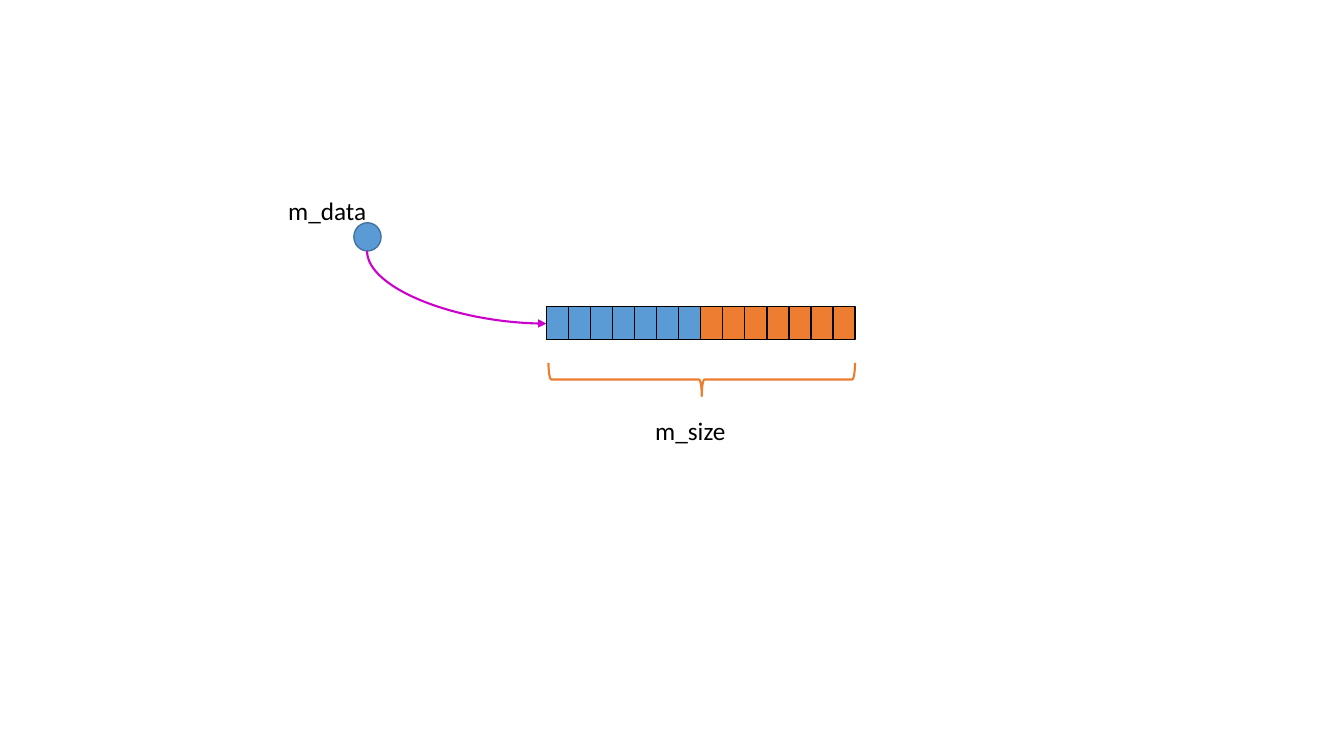
import pptx
import pptx.dml.color
import pptx.enum.shapes
import pptx.enum.text
import pptx.oxml
import pptx.oxml.ns
import pptx.util

Inches = pptx.util.Inches
Shape = pptx.enum.shapes.MSO_SHAPE
BLUE = "5B9BD5"
ORANGE = "ED7D31"
CELL_COUNT = 14
BLUE_COUNT = 7


def color(hex_string):
    return pptx.dml.color.RGBColor.from_string(hex_string)


def draw_shape(slide, kind, box, fill, line, line_width):
    part = slide.shapes.add_shape(kind, *map(Inches, box))
    part.shadow.inherit = False
    if fill:
        part.fill.solid()
        part.fill.fore_color.rgb = color(fill)
    else:
        part.fill.background()
    part.line.color.rgb = color(line)
    part.line.width = pptx.util.Pt(line_width)
    return part


def draw_label(slide, text, left, top):
    label = slide.shapes.add_textbox(*map(Inches, (left, top, 1.02, 0.4)))
    label.text_frame.word_wrap = True
    label.text_frame.auto_size = pptx.enum.text.MSO_AUTO_SIZE.SHAPE_TO_FIT_TEXT
    label.text_frame.text = text
    font = label.text_frame.paragraphs[0].runs[0].font
    font.name = "Calibri"
    font.size = pptx.util.Pt(18)
    font.color.rgb = color("000000")


def draw_pointer(slide, left, top, width, height):
    draw_shape(slide, Shape.OVAL, (left, top, width, height), BLUE, "43739E", 1)
    draw_label(slide, "m_data", left - 0.75, top - 0.32)


def draw_array(slide, left, top, width, height):
    pitch = width / CELL_COUNT
    for index in range(CELL_COUNT):
        fill = BLUE if index < BLUE_COUNT else ORANGE
        cell_box = (left + index * pitch, top, pitch, height)
        draw_shape(slide, Shape.RECTANGLE, cell_box, fill, "000000", 1)


def draw_size_brace(slide, left, top, width, height):
    center_x, center_y = left + width / 2, top + height / 2
    upright_box = (center_x - height / 2, center_y - width / 2, height, width)
    brace = draw_shape(slide, Shape.RIGHT_BRACE, upright_box, None, ORANGE, 1.5)
    brace.rotation = 90
    draw_label(slide, "m_size", center_x - 0.56, top + 0.47)


def draw_data_arrow(slide, left, top, width, height):
    center_x, center_y = left + width / 2, top + height / 2
    arrow = slide.shapes.add_connector(
        pptx.enum.shapes.MSO_CONNECTOR.CURVE,
        Inches(center_x - height / 2), Inches(center_y - width / 2),
        Inches(center_x + height / 2), Inches(center_y + width / 2))
    arrow.line.color.rgb = color("CC00CC")
    arrow.line.width = pptx.util.Pt(1.5)
    qn = pptx.oxml.ns.qn
    properties = arrow._element.spPr
    transform = properties.find(qn("a:xfrm"))
    transform.set("rot", "16200000")
    transform.set("flipH", "1")
    properties.find(qn("a:prstGeom")).set("prst", "curvedConnector2")
    namespace = pptx.oxml.ns.nsdecls("a")
    properties.find(qn("a:ln")).append(
        pptx.oxml.parse_xml(f'<a:tailEnd {namespace} type="triangle"/>'))
    properties.append(pptx.oxml.parse_xml(f"<a:effectLst {namespace}/>"))


def main():
    presentation = pptx.Presentation()
    presentation.slide_width = Inches(13.33)
    presentation.slide_height = Inches(7.5)
    slide = presentation.slides.add_slide(presentation.slide_layouts[6])
    draw_pointer(slide, 3.51, 2.21, 0.27, 0.28)
    draw_size_brace(slide, 5.44, 3.6, 3.04, 0.33)
    draw_data_arrow(slide, 3.64, 2.49, 1.78, 0.72)
    draw_array(slide, 5.42, 3.04, 3.06, 0.33)
    presentation.save("out.pptx")


if __name__ == "__main__":
    main()
